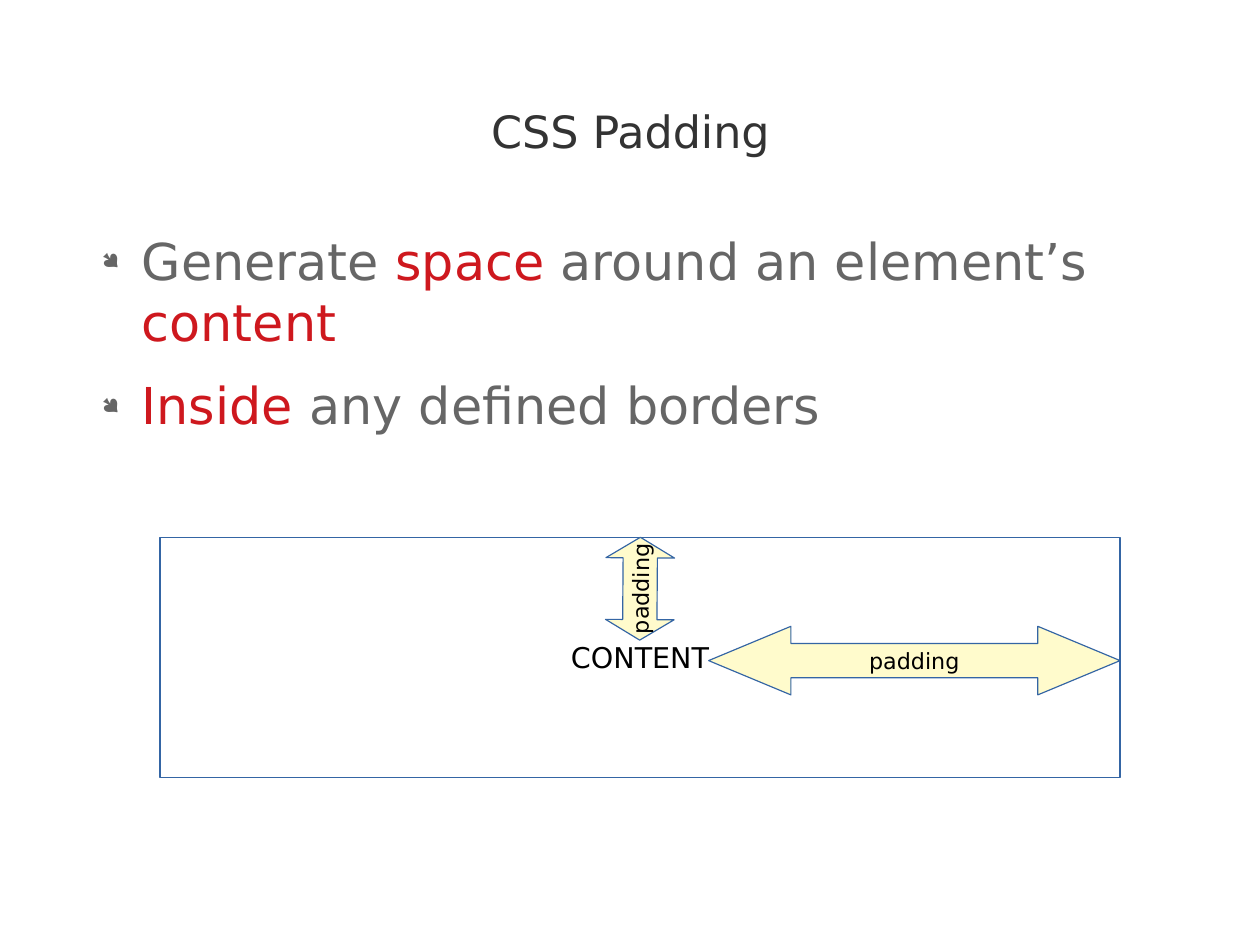
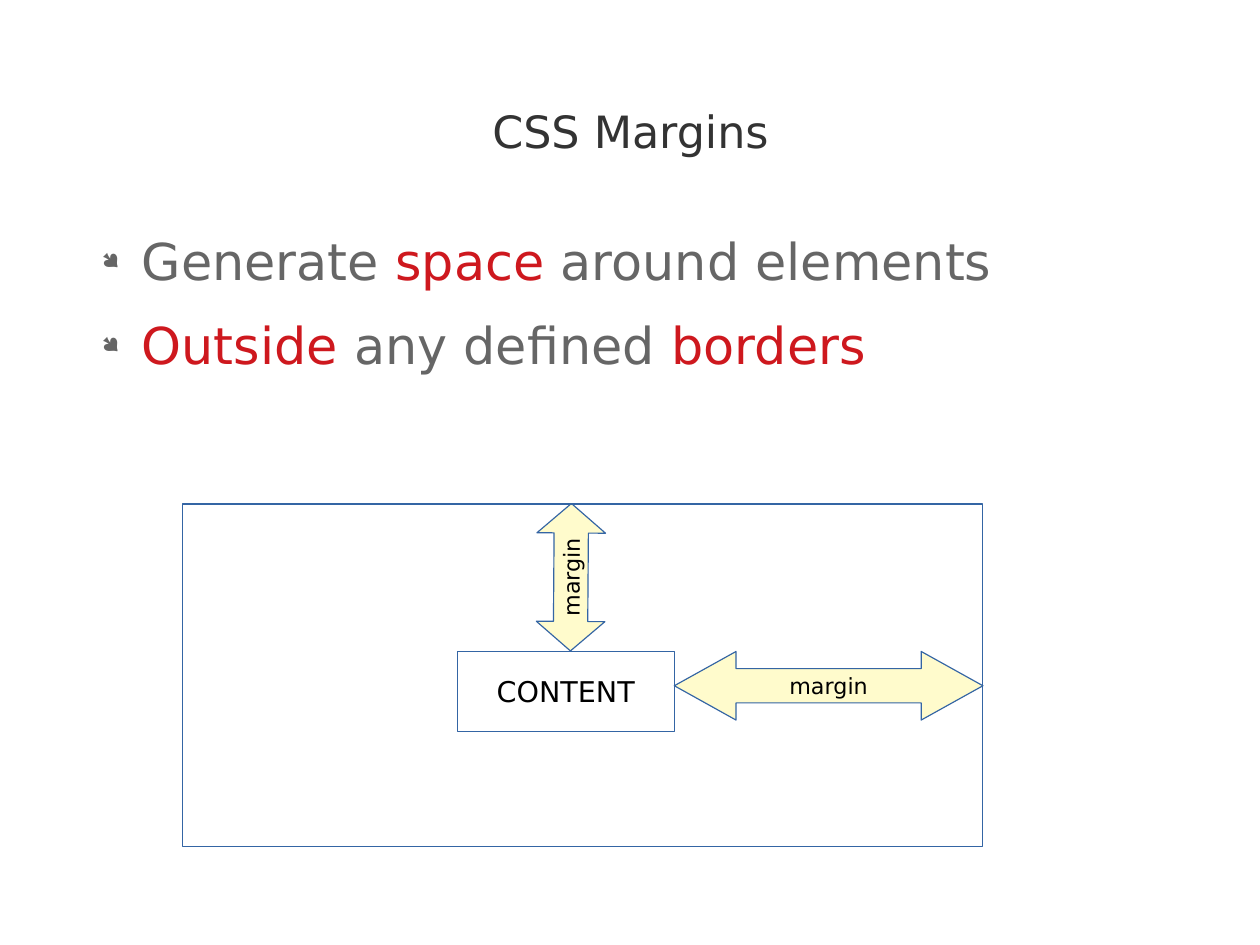
"""Build two slides that explain CSS padding and CSS margins."""
import pptx
import pptx.dml.color
import pptx.enum.shapes
import pptx.enum.text
import pptx.util
from lxml import etree
from pptx.oxml.ns import qn

Inches = pptx.util.Inches
Pt = pptx.util.Pt
RGBColor = pptx.dml.color.RGBColor
Shapes = pptx.enum.shapes.MSO_SHAPE
Anchor = pptx.enum.text.MSO_ANCHOR
Align = pptx.enum.text.PP_ALIGN

FONT = "DejaVu Sans"
BULLET_FONT = "Wingdings"
TITLE_COLOR = RGBColor(0x33, 0x33, 0x33)
BODY_COLOR = RGBColor(0x66, 0x66, 0x66)
EMPHASIS_COLOR = RGBColor(0xCE, 0x18, 0x1E)
LABEL_COLOR = RGBColor(0x00, 0x00, 0x00)
LINE_COLOR = RGBColor(0x34, 0x65, 0xA4)
ARROW_COLOR = RGBColor(0xFF, 0xFB, 0xCC)
WHITE = RGBColor(0xFF, 0xFF, 0xFF)

CM_PER_INCH = 2.54
SLIDE_WIDTH_CM, SLIDE_HEIGHT_CM = 28, 21
TEXT_LEFT, TEXT_WIDTH = 0.77, 9.49
ARROW_THICKNESS = 0.6
HEAD_SHARE = 0.2


def style_run(run, size, color):
    run.font.name = FONT
    run.font.size = Pt(size)
    run.font.color.rgb = color


def write_centered(text_frame, text, size, color):
    text_frame.vertical_anchor = Anchor.MIDDLE
    paragraph = text_frame.paragraphs[0]
    paragraph.text = text
    paragraph.alignment = Align.CENTER
    style_run(paragraph.runs[0], size, color)


def add_text_area(slide, top, height):
    box = slide.shapes.add_textbox(
        Inches(TEXT_LEFT), Inches(top), Inches(TEXT_WIDTH), Inches(height))
    text_frame = box.text_frame
    text_frame.word_wrap = True
    text_frame.margin_left = text_frame.margin_right = 0
    text_frame.margin_top = text_frame.margin_bottom = 0
    return text_frame


def set_bullet(paragraph):
    paragraph.space_after = Pt(14.2)
    properties = paragraph._p.get_or_add_pPr()
    properties.set("marL", str(Inches(0.47)))
    properties.set("indent", str(Inches(-0.35)))
    color = etree.SubElement(properties, qn("a:buClr"))
    etree.SubElement(color, qn("a:srgbClr"), val=str(BODY_COLOR))
    etree.SubElement(properties, qn("a:buSzPct"), val="45000")
    etree.SubElement(properties, qn("a:buFont"), typeface=BULLET_FONT, charset="2")
    etree.SubElement(properties, qn("a:buChar"), char="●")


def add_bullets(text_frame, bullets):
    for index, pieces in enumerate(bullets):
        paragraph = text_frame.add_paragraph() if index else text_frame.paragraphs[0]
        set_bullet(paragraph)
        for text, color in pieces:
            run = paragraph.add_run()
            run.text = text
            style_run(run, 32, color)


def add_text_slide(presentation, title, bullets):
    slide = presentation.slides.add_slide(presentation.slide_layouts[6])
    write_centered(add_text_area(slide, 0.49, 1.31), title, 28, TITLE_COLOR)
    add_bullets(add_text_area(slide, 2.01, 4.87), bullets)
    return slide


def add_outlined_shape(slide, kind, left, top, width, height, fill=None):
    shape = slide.shapes.add_shape(
        kind, Inches(left), Inches(top), Inches(width), Inches(height))
    shape.shadow.inherit = False
    if fill is None:
        shape.fill.background()
    else:
        shape.fill.solid()
        shape.fill.fore_color.rgb = fill
    shape.line.color.rgb = LINE_COLOR
    shape.line.width = Pt(0.75)
    return shape


def add_label(shape, text, size):
    shape.text_frame.word_wrap = False
    write_centered(shape.text_frame, text, size, LABEL_COLOR)


def add_content_box(slide, left, top, width, height):
    box = add_outlined_shape(slide, Shapes.RECTANGLE, left, top, width, height, WHITE)
    add_label(box, "CONTENT", 18)


def add_arrow(slide, text, left, top, length, rotation=0):
    arrow = add_outlined_shape(slide, Shapes.LEFT_RIGHT_ARROW, left, top,
                               length, ARROW_THICKNESS, ARROW_COLOR)
    arrow.adjustments[0] = 0.5
    arrow.adjustments[1] = HEAD_SHARE * length / ARROW_THICKNESS
    arrow.rotation = rotation
    add_label(arrow, text, 14)


def add_vertical_arrow(slide, text, left, top, length):
    add_arrow(slide, text, left, top, length, rotation=270.4)


def add_padding_slide(presentation):
    slide = add_text_slide(presentation, "CSS Padding", [
        [("Generate ", BODY_COLOR), ("space", EMPHASIS_COLOR),
         (" around an element’s ", BODY_COLOR), ("content", EMPHASIS_COLOR)],
        [("Inside", EMPHASIS_COLOR), (" any defined borders", BODY_COLOR)],
    ])
    add_content_box(slide, 1.4, 4.7, 8.4, 2.1)
    add_arrow(slide, "padding", 6.2, 5.48, 3.6)
    add_vertical_arrow(slide, "padding", 5.15, 4.85, 0.9)


def add_margins_slide(presentation):
    slide = add_text_slide(presentation, "CSS Margins", [
        [("Generate ", BODY_COLOR), ("space", EMPHASIS_COLOR),
         (" around elements", BODY_COLOR)],
        [("Outside", EMPHASIS_COLOR), (" any defined ", BODY_COLOR),
         ("borders", EMPHASIS_COLOR)],
    ])
    add_content_box(slide, 4, 5.7, 1.9, 0.7)
    add_arrow(slide, "margin", 5.9, 5.7, 2.7)
    add_vertical_arrow(slide, "margin", 4.35, 4.75, 1.29)
    add_outlined_shape(slide, Shapes.RECTANGLE, 1.6, 4.41, 7, 3)


def main():
    presentation = pptx.Presentation()
    presentation.slide_width = Inches(SLIDE_WIDTH_CM / CM_PER_INCH)
    presentation.slide_height = Inches(SLIDE_HEIGHT_CM / CM_PER_INCH)
    add_padding_slide(presentation)
    add_margins_slide(presentation)
    presentation.save("out.pptx")


if __name__ == "__main__":
    main()
